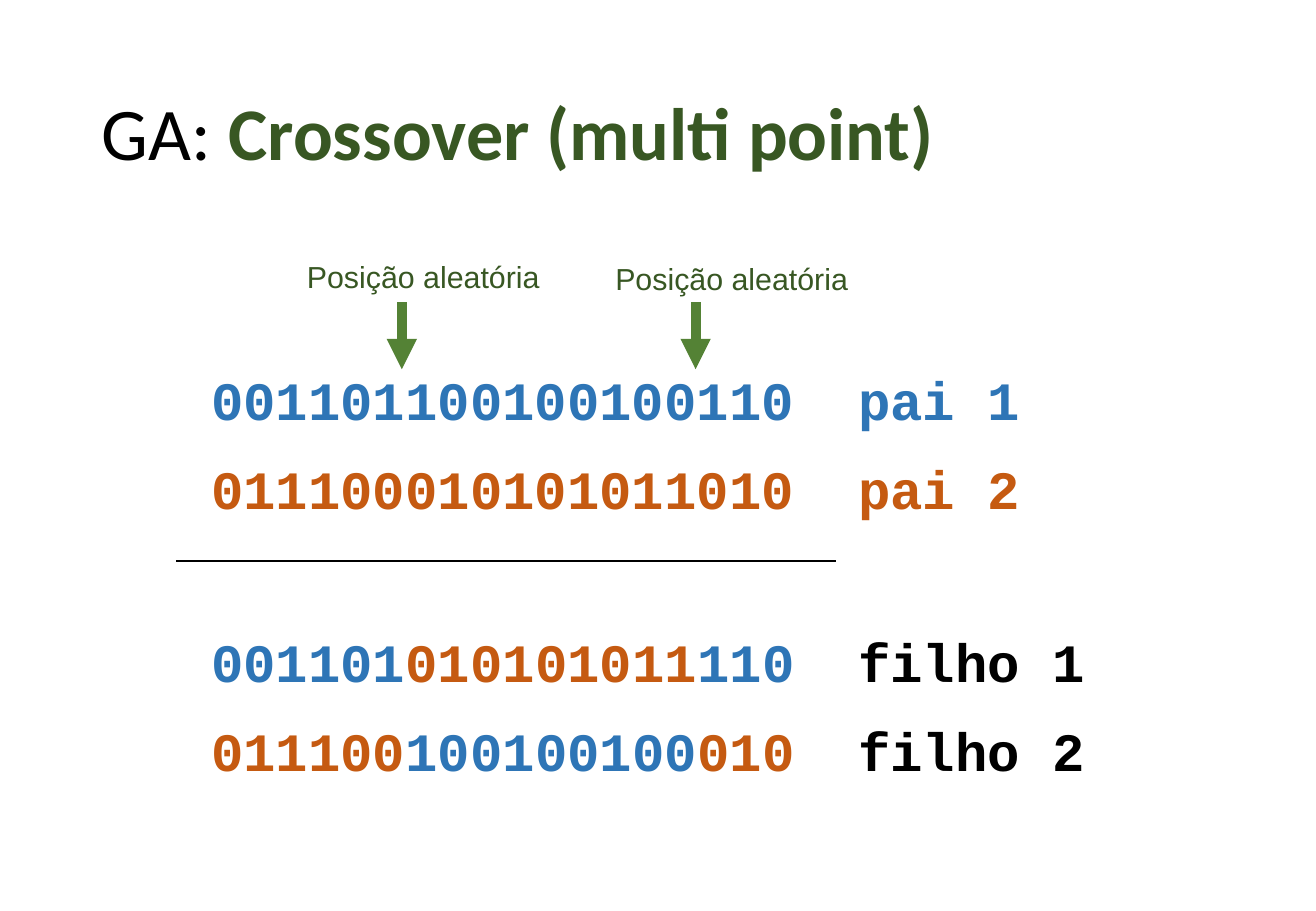
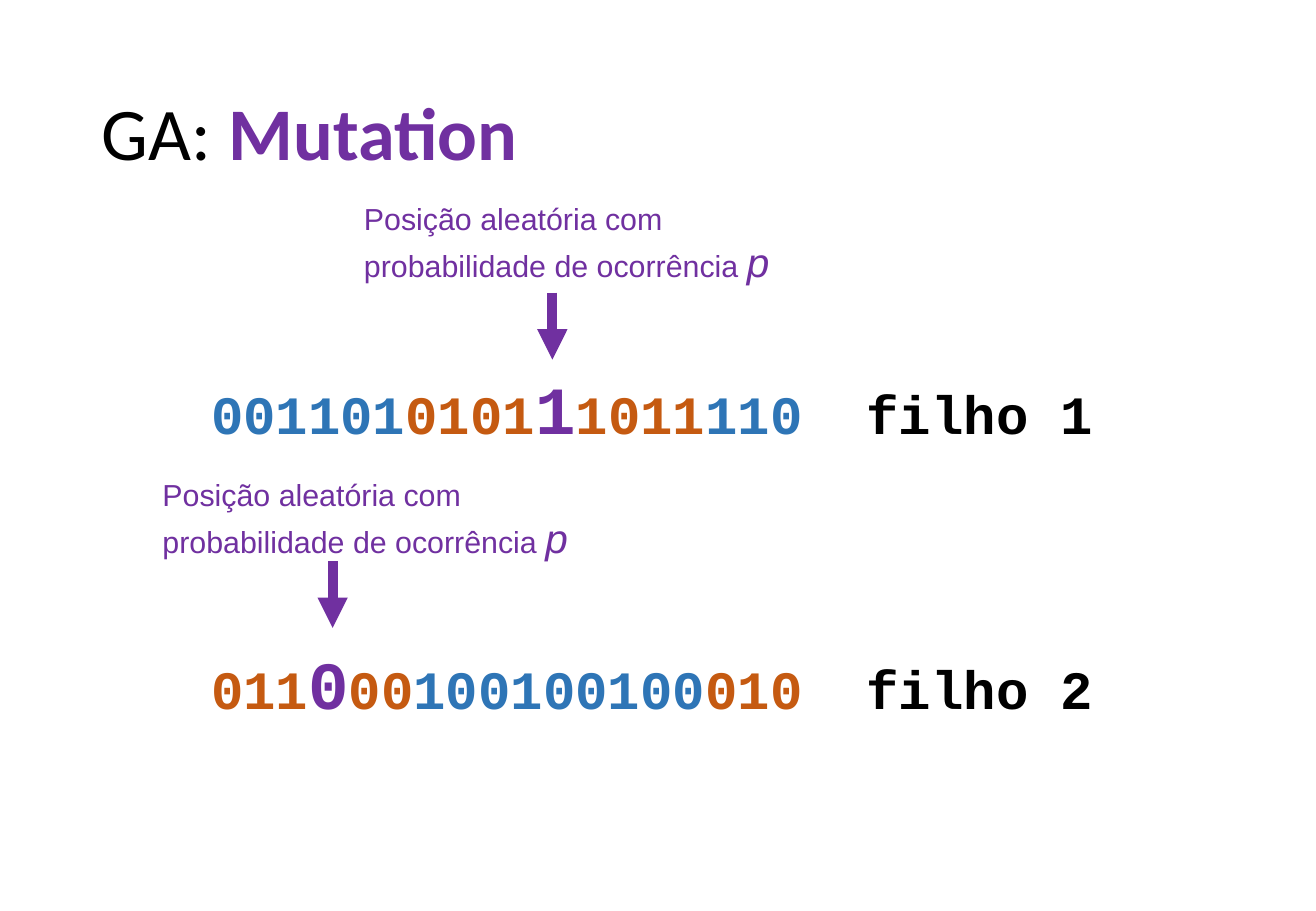
from lxml import etree
from pptx import Presentation
from pptx import util as u
from pptx.dml.color import RGBColor
from pptx.enum import shapes, text
from pptx.oxml import ns

BLACK, GREEN, LEAF = "000000", "385723", "548235"
BLUE, ORANGE, PURPLE = "2E75B6", "C55A11", "7030A0"
HEAD, BODY, MONO = "Calibri", "Arial", "Courier New"


def rgb(code):
    return RGBColor.from_string(code)


class Deck:
    def __init__(self):
        self.prs = Presentation()
        self.prs.slide_width = u.Inches(10.84)
        self.prs.slide_height = u.Inches(7.5)
        self.slide = None

    def run(self, para, words, font, size, color, bold=False, italic=False):
        run = para.add_run()
        run.text = words
        run.font.name, run.font.size = font, u.Pt(size)
        run.font.bold, run.font.italic = bold, italic
        run.font.color.rgb = rgb(color)

    def page(self, topic, color):
        """Start a slide titled "GA: " plus a coloured topic."""
        self.slide = self.prs.slides.add_slide(self.prs.slide_layouts[5])
        title = self.slide.shapes.title
        title.left, title.top = u.Inches(0.74), u.Inches(0.4)
        title.width, title.height = u.Inches(9.35), u.Inches(1.45)
        frame = title.text_frame
        frame.auto_size = text.MSO_AUTO_SIZE.NONE
        frame.vertical_anchor = text.MSO_ANCHOR.MIDDLE
        para = frame.paragraphs[0]
        para.alignment = text.PP_ALIGN.LEFT
        para.line_spacing = 0.9
        self.run(para, "GA: ", HEAD, 44, BLACK)
        self.run(para, topic, HEAD, 44, color, bold=True)

    def box(self, x, y, w, h, wrap):
        frame = self.slide.shapes.add_textbox(
            u.Inches(x), u.Inches(y), u.Inches(w), u.Inches(h)).text_frame
        frame.word_wrap = wrap
        return frame

    def genes(self, y, h, tab, rows):
        """Write rows of (gap before, label, label colour, gene parts)."""
        frame = self.box(1.64, y, 7.56, h, True)
        for i, (gap, label, color, parts) in enumerate(rows):
            para = frame.add_paragraph() if i else frame.paragraphs[0]
            props = para._p.get_or_add_pPr()
            if gap:
                para.space_before = u.Pt(gap)
            tabs = etree.SubElement(props, ns.qn("a:tabLst"))
            etree.SubElement(tabs, ns.qn("a:tab"),
                             pos=str(u.Inches(tab)), algn="l")
            for bits, hue in parts:
                size = 40 if hue == PURPLE else 32
                self.run(para, bits, MONO, size, hue, bold=True)
            self.run(para, "\t" + label, MONO, 32, color, bold=True)

    def line(self, x1, y1, x2, y2, color, width):
        line = self.slide.shapes.add_connector(
            shapes.MSO_CONNECTOR.STRAIGHT,
            u.Inches(x1), u.Inches(y1), u.Inches(x2), u.Inches(y2))
        line.line.color.rgb = rgb(color)
        line.line.width = u.Pt(width)
        etree.SubElement(line._element.spPr, ns.qn("a:effectLst"))
        return line

    def arrow(self, x, y, color):
        line = self.line(x, y, x, y + 0.55, color, 6)
        etree.SubElement(line.line._get_or_add_ln(), ns.qn("a:tailEnd"),
                         type="triangle")

    def label(self, x, y):
        para = self.box(x, y, 2.14, 0.4, False).paragraphs[0]
        self.run(para, "Posição aleatória", BODY, 18, GREEN)

    def odds(self, x, y):
        """Write the two-line note on the mutation probability."""
        frame = self.box(x, y, 3.57, 0.81, False)
        self.run(frame.paragraphs[0], "Posição aleatória com",
                 BODY, 18, PURPLE)
        para = frame.add_paragraph()
        self.run(para, "probabilidade de ocorrência ", BODY, 18, PURPLE)
        self.run(para, "p", BODY, 24, PURPLE, italic=True)


def cross(deck):
    deck.page("Crossover (multi point)", GREEN)
    deck.genes(2.97, 3.38, 5.33, [
        (0, "pai 1", BLUE, [("001101100100100110", BLUE)]),
        (14, "pai 2", ORANGE, [("011100010101011010", ORANGE)]),
        (64.5, "filho 1", BLACK,
         [("001101", BLUE), ("010101011", ORANGE), ("110", BLUE)]),
        (14, "filho 2", BLACK,
         [("011100", ORANGE), ("100100100", BLUE), ("010", ORANGE)]),
    ])
    deck.line(1.45, 4.62, 6.89, 4.62, BLACK, 1)
    for x in (3.31, 5.73):
        deck.arrow(x, 2.49, LEAF)
    deck.label(2.43, 2.08)
    deck.label(4.97, 2.09)


def mutate(deck):
    deck.page("Mutation", PURPLE)
    deck.genes(2.97, 2.94, 5.4, [
        (0, "filho 1", BLACK,
         [("001101", BLUE), ("0101", ORANGE), ("1", PURPLE),
          ("1011", ORANGE), ("110", BLUE)]),
        (115, "filho 2", BLACK,
         [("011", ORANGE), ("0", PURPLE), ("00", ORANGE),
          ("100100100", BLUE), ("010", ORANGE)]),
    ])
    for x, y in ((4.55, 2.41), (2.74, 4.62)):
        deck.arrow(x, y, PURPLE)
    for x, y in ((2.9, 1.6), (1.24, 3.87)):
        deck.odds(x, y)


def main():
    deck = Deck()
    cross(deck)
    mutate(deck)
    deck.prs.save("out.pptx")


if __name__ == "__main__":
    main()
